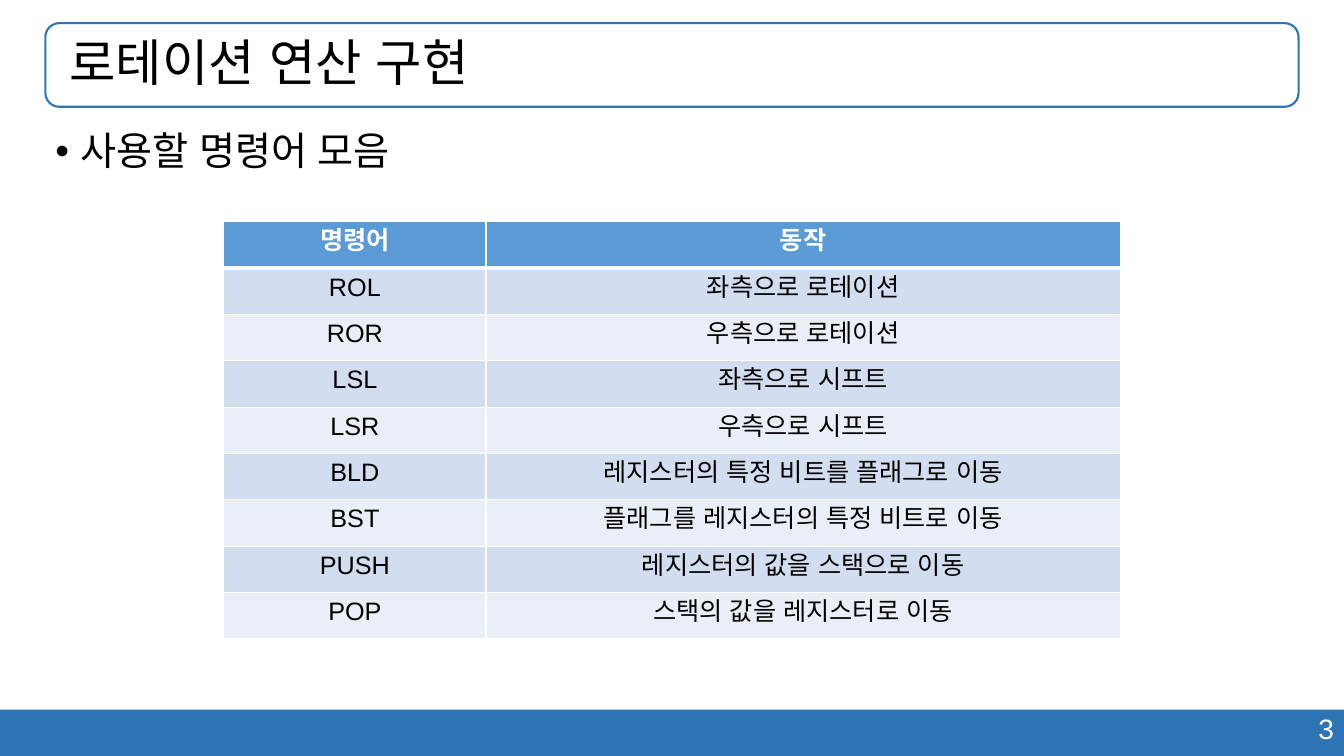
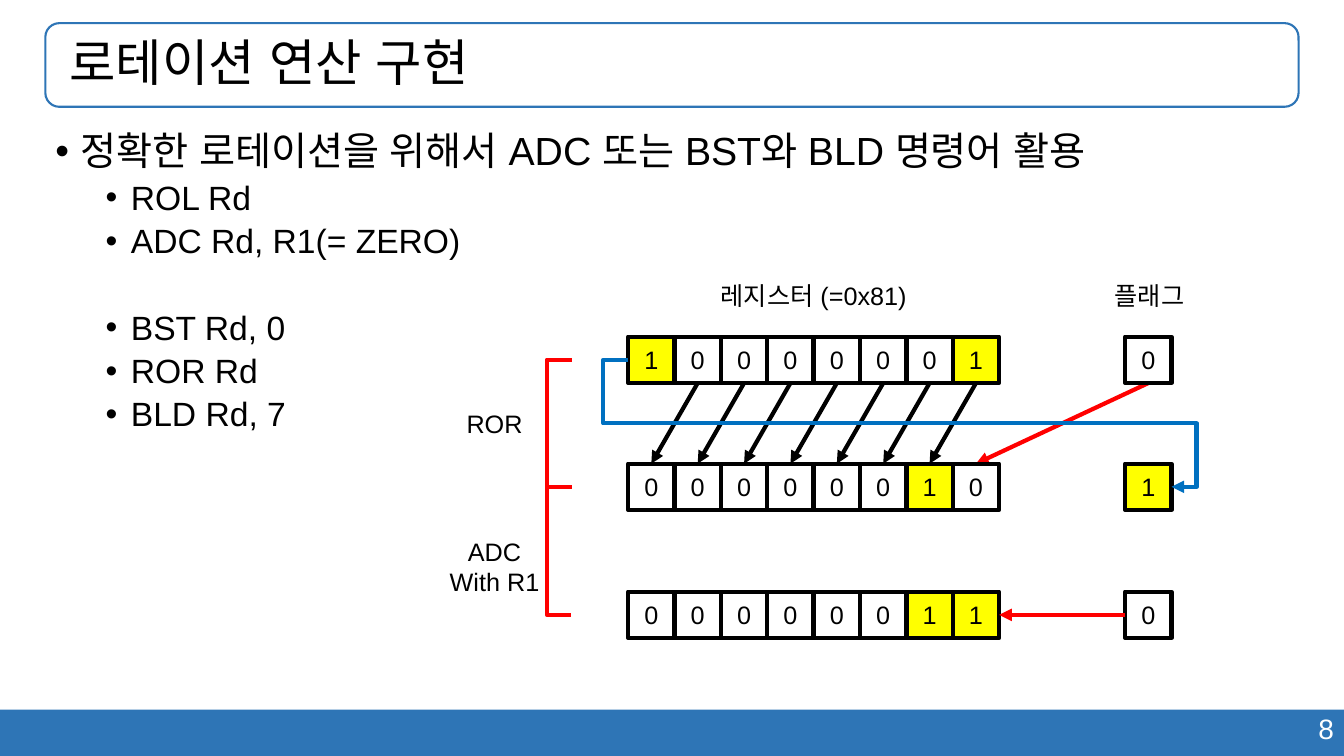
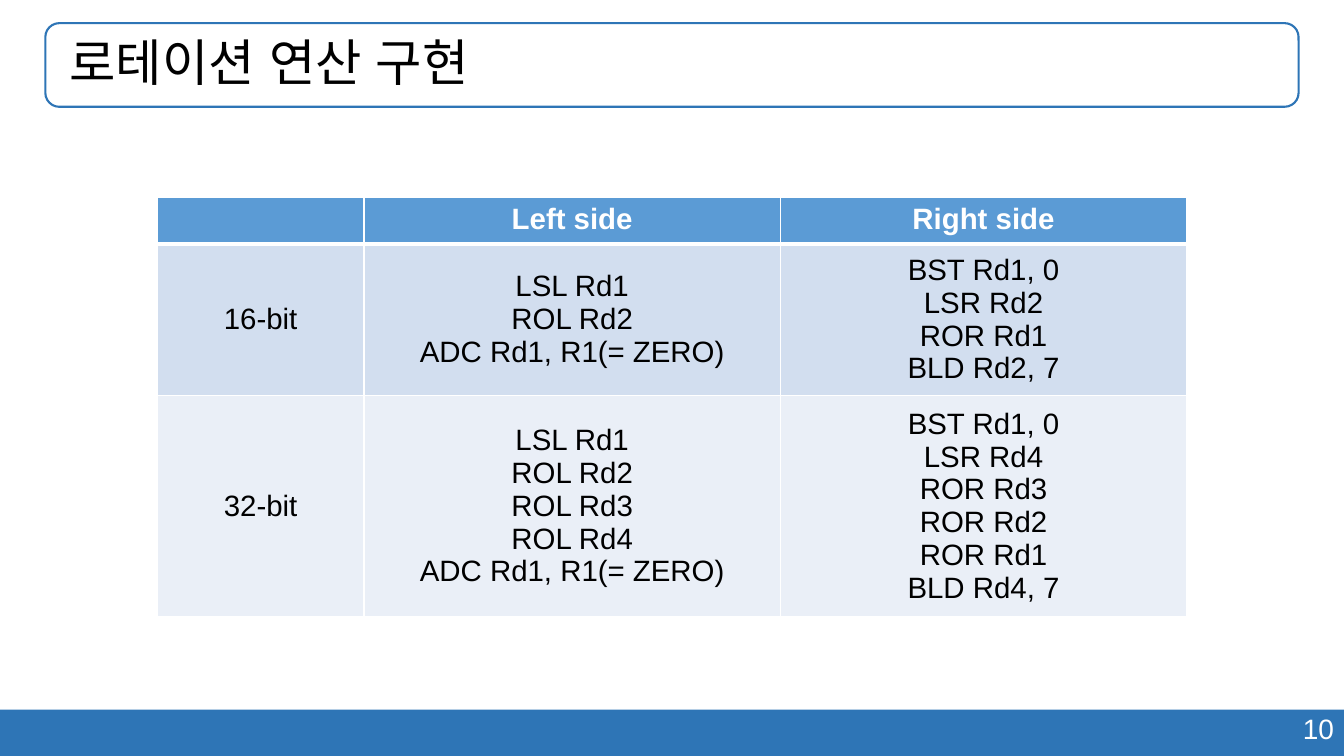
from dataclasses import dataclass

from lxml.etree import SubElement
from pptx import Presentation
from pptx.dml.color import RGBColor
from pptx.enum.shapes import MSO_CONNECTOR, MSO_SHAPE
from pptx.enum.text import MSO_ANCHOR, PP_ALIGN
from pptx.oxml.ns import qn
from pptx.util import Pt

PX = 9144  # 100 px to the inch


@dataclass(frozen=True)
class Theme:
    font: str = "Arial"
    black: RGBColor = RGBColor.from_string("000000")
    white: RGBColor = RGBColor.from_string("FFFFFF")
    frame: RGBColor = RGBColor.from_string("2E75B6")
    header: RGBColor = RGBColor.from_string("5B9BD5")
    bands: tuple = (RGBColor.from_string("EAEFF7"), RGBColor.from_string("D2DEEF"))
    yellow: RGBColor = RGBColor.from_string("FFFF00")
    red: RGBColor = RGBColor.from_string("FF0000")
    blue: RGBColor = RGBColor.from_string("0070C0")
    title_size: int = 36
    bullet_sizes: tuple = (28, 24)
    number_size: int = 20
    label_size: int = 18
    code_size: int = 21
    stroke: int = 3


theme = Theme()


def write(frame, text, size, color=theme.black, align=PP_ALIGN.CENTER, bold=False):
    """Fill a text frame with one paragraph for each line of text."""
    frame.word_wrap = True
    for index, line in enumerate(text.split("\n")):
        para = frame.add_paragraph() if index else frame.paragraphs[0]
        para.text = line
        para.alignment = align
        para.font.name = theme.font
        para.font.size = Pt(size)
        para.font.bold = bold
        para.font.color.rgb = color


def connect(page, begin, end, color, arrow=True, bends=()):
    """Draw a straight line, or an elbow whose bends are shares of its extent."""
    kind = MSO_CONNECTOR.ELBOW if bends else MSO_CONNECTOR.STRAIGHT
    line = page.shapes.add_connector(kind, *(value * PX for value in begin + end))
    line.line.color.rgb = color
    line.line.width = Pt(theme.stroke)
    properties = line._element.spPr
    if arrow:
        SubElement(properties.find(qn("a:ln")), qn("a:tailEnd"), type="triangle")
    if bends:
        geometry = properties.find(qn("a:prstGeom"))
        geometry.set("prst", f"bentConnector{len(bends) + 2}")
        guides = geometry.find(qn("a:avLst"))
        for index, bend in enumerate(bends, 1):
            SubElement(guides, qn("a:gd"), name=f"adj{index}", fmla=f"val {round(bend * 100000)}")
    SubElement(properties, qn("a:effectLst"))


deck = Presentation()
deck.slide_width, deck.slide_height = 1333 * PX, 750 * PX

# Shared title, band and page number
pages = {}
for number in (3, 8, 10):
    page = pages[number] = deck.slides.add_slide(deck.slide_layouts[6])

    band = page.shapes.add_shape(MSO_SHAPE.RECTANGLE, 0, 704 * PX, 1333 * PX, 46 * PX)
    band.shadow.inherit = False
    band.fill.solid()
    band.fill.fore_color.rgb = theme.frame
    band.line.fill.background()

    number_box = page.shapes.add_textbox(943 * PX, 701 * PX, 390 * PX, 44 * PX)
    write(number_box.text_frame, str(number), theme.number_size, theme.white, PP_ALIGN.RIGHT)

    title = page.shapes.add_shape(
        MSO_SHAPE.ROUNDED_RECTANGLE, 45 * PX, 23 * PX, 1243 * PX, 83 * PX)
    title.shadow.inherit = False
    title.fill.background()
    title.line.color.rgb = theme.frame
    title.line.width = Pt(1.5)
    title.text_frame.margin_left = 20 * PX
    title.text_frame.vertical_anchor = MSO_ANCHOR.MIDDLE
    write(title.text_frame, "로테이션 연산 구현", theme.title_size, align=PP_ALIGN.LEFT)
    title.text_frame.paragraphs[0].line_spacing = 0.9

# Bulleted text: level, space before, wording
bullets = {
    3: [(0, 0, "사용할 명령어 모음")],
    8: [
        (0, 0, "정확한 로테이션을 위해서 ADC 또는 BST와 BLD 명령어 활용"),
        (1, 5, "ROL Rd"),
        (1, 5, "ADC Rd, R1(= ZERO)"),
        (1, 36, "BST Rd, 0"),
        (1, 5, "ROR Rd"),
        (1, 5, "BLD Rd, 7"),
    ],
}
for number, items in bullets.items():
    body = pages[number].shapes.add_textbox(45 * PX, 126 * PX, 1243 * PX, 553 * PX)
    frame = body.text_frame
    frame.word_wrap = True
    for index, (level, space, text) in enumerate(items):
        para = frame.add_paragraph() if index else frame.paragraphs[0]
        para.text = text
        para.level = level
        para.line_spacing = 0.9
        para.space_before = Pt(space)
        properties = para._p.get_or_add_pPr()
        properties.set("marL", str((25 + 50 * level) * PX))
        properties.set("indent", str(-25 * PX))
        SubElement(properties, qn("a:buFont"), typeface=theme.font)
        SubElement(properties, qn("a:buChar"), char="•")
        para.font.name = theme.font
        para.font.size = Pt(theme.bullet_sizes[level])
        para.font.color.rgb = theme.black

# Tables: page, corner, column widths, row heights, size, cell margins, body anchor, rows
instructions = [
    ("명령어", "동작"),
    ("ROL", "좌측으로 로테이션"),
    ("ROR", "우측으로 로테이션"),
    ("LSL", "좌측으로 시프트"),
    ("LSR", "우측으로 시프트"),
    ("BLD", "레지스터의 특정 비트를 플래그로 이동"),
    ("BST", "플래그를 레지스터의 특정 비트로 이동"),
    ("PUSH", "레지스터의 값을 스택으로 이동"),
    ("POP", "스택의 값을 레지스터로 이동"),
]
rotations = [
    ("", "Left side", "Right side"),
    ("16-bit", "LSL Rd1\nROL Rd2\nADC Rd1, R1(= ZERO)",
     "BST Rd1, 0\nLSR Rd2\nROR Rd1\nBLD Rd2, 7"),
    ("32-bit", "LSL Rd1\nROL Rd2\nROL Rd3\nROL Rd4\nADC Rd1, R1(= ZERO)",
     "BST Rd1, 0\nLSR Rd4\nROR Rd3\nROR Rd2\nROR Rd1\nBLD Rd4, 7"),
]
tables = [
    (3, (222, 220), (260, 629), [46] * 9, theme.label_size, (10, 5), MSO_ANCHOR.TOP, instructions),
    (10, (156, 196), (205, 413, 403), [46, 147, 215], theme.code_size, (11, 5),
     MSO_ANCHOR.MIDDLE, rotations),
]
for number, (left, top), widths, heights, size, (side, edge), anchor, rows in tables:
    table = pages[number].shapes.add_table(
        len(rows), len(widths), left * PX, top * PX, sum(widths) * PX, sum(heights) * PX).table
    table.horz_banding = False
    for column, width in zip(table.columns, widths):
        column.width = width * PX
    for row_index, (row, height) in enumerate(zip(rows, heights)):
        table.rows[row_index].height = height * PX
        is_header = row_index == 0
        for column_index, text in enumerate(row):
            cell = table.cell(row_index, column_index)
            cell.margin_left = cell.margin_right = side * PX
            cell.margin_top = cell.margin_bottom = edge * PX
            cell.vertical_anchor = MSO_ANCHOR.TOP if is_header else anchor
            write(cell.text_frame, text, size,
                  theme.white if is_header else theme.black, bold=is_header)
            properties = cell._tc.get_or_add_tcPr()
            for border in ("lnL", "lnR", "lnT", "lnB"):
                thick = (is_header and border == "lnB") or (row_index == 1 and border == "lnT")
                line = SubElement(properties, qn(f"a:{border}"), w=str(Pt(3 if thick else 1)))
                paint = SubElement(line, qn("a:solidFill"))
                SubElement(paint, qn("a:srgbClr"), val=str(theme.white))
            cell.fill.solid()
            cell.fill.fore_color.rgb = theme.header if is_header else theme.bands[row_index % 2]

# Rotation diagram
page = pages[8]
bit_size = 46
half = bit_size // 2
register_left, flag_left = 623, 1116
register_right = register_left + 8 * bit_size
before, rotated, added = row_tops = (334, 460, 587)

labels = [
    (646, 273, 322, 40, "레지스터 (=0x81)"),
    (979, 273, 322, 40, "플래그"),
    (414, 400, 153, 40, "ROR"),
    (414, 527, 153, 71, "ADC\nWith R1"),
]
for left, top, width, height, text in labels:
    label = page.shapes.add_textbox(left * PX, top * PX, width * PX, height * PX)
    write(label.text_frame, text, theme.label_size)

connect(page, (flag_left + half, before + bit_size),
        (register_right - half, rotated), theme.red)

# Eight register bits, then the flag; every 1 is highlighted
bit_lefts = [register_left + index * bit_size for index in range(8)] + [flag_left]
for top, bits in zip(row_tops, ("100000010", "000000101", "000000110")):
    for left, bit in zip(bit_lefts, bits):
        box = page.shapes.add_shape(
            MSO_SHAPE.RECTANGLE, left * PX, top * PX, bit_size * PX, bit_size * PX)
        box.shadow.inherit = False
        if bit == "1":
            box.fill.solid()
            box.fill.fore_color.rgb = theme.yellow
        else:
            box.fill.background()
        box.line.color.rgb = theme.black
        box.line.width = Pt(theme.stroke)
        box.text_frame.vertical_anchor = MSO_ANCHOR.MIDDLE
        write(box.text_frame, bit, theme.label_size)

for left in bit_lefts[:7]:
    connect(page, (left + half + bit_size, before + bit_size), (left + half, rotated), theme.black)

connect(page, (register_left, before + half), (flag_left + bit_size, rotated + half),
        theme.blue, bends=(-0.046, 0.5, 1.046))
for top, bottom in zip(row_tops, row_tops[1:]):
    connect(page, (567, top + half), (566, bottom + half), theme.red, arrow=False, bends=(25,))
connect(page, (flag_left, added + half), (register_right, added + half), theme.red)

# Korean text takes the theme font too
for page in pages.values():
    for font in page._element.iter(qn("a:defRPr")):
        SubElement(font, qn("a:ea"), typeface=theme.font)

deck.save("out.pptx")
